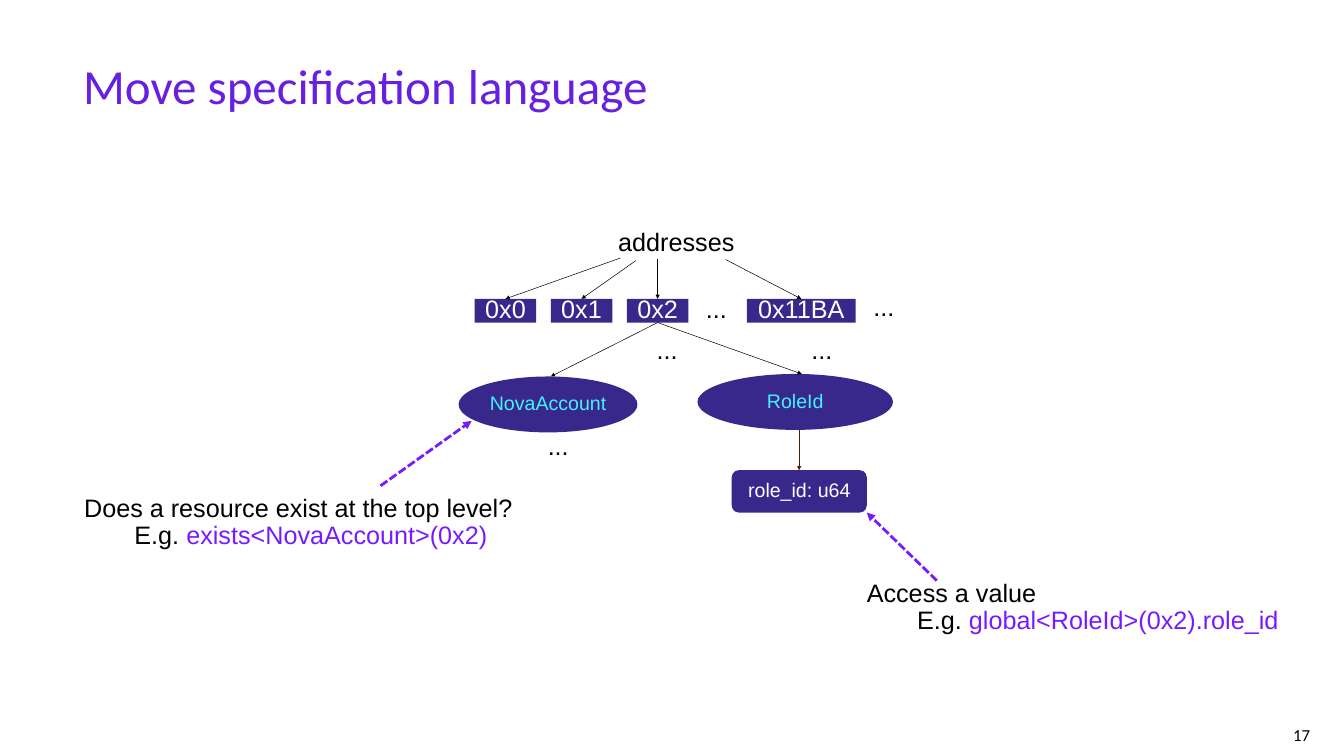
"""Build the slide on the Move specification language and its address tree."""
from lxml.etree import SubElement
from pptx import Presentation
from pptx.dml.color import RGBColor
from pptx.enum.dml import MSO_LINE
from pptx.enum.shapes import MSO_CONNECTOR, MSO_SHAPE
from pptx.enum.text import MSO_ANCHOR, MSO_AUTO_SIZE, PP_ALIGN
from pptx.oxml.ns import qn
from pptx.util import Pt

PX = 9144
INDIGO, VIOLET, PURPLE = "38288C", "771BFF", "671FE0"
CYAN, BLACK, WHITE = "45F1FF", "000000", "FFFFFF"


def emu(*lengths):
    return [length * PX for length in lengths]


def color(value):
    return RGBColor.from_string(value)


class TreeSlide:
    def __init__(self, slide, font="Arial"):
        self.slide = slide
        self.shapes = slide.shapes
        self.font = font

    def style(self, paragraph, size, ink, align=PP_ALIGN.LEFT, spacing=0.9, font=None):
        paragraph.alignment = align
        paragraph.line_spacing = spacing
        for run in paragraph.runs:
            run.font.size = Pt(size)
            run.font.name = font or self.font
            run.font.color.rgb = color(ink)

    def inset(self, frame, across, down):
        frame.margin_left = frame.margin_right = across * PX
        frame.margin_top = frame.margin_bottom = down * PX

    def title(self, text, box):
        heading = self.shapes.title
        heading.left, heading.top, heading.width, heading.height = emu(*box)
        frame = heading.text_frame
        frame.text = text
        frame.auto_size = MSO_AUTO_SIZE.NONE
        frame.vertical_anchor = MSO_ANCHOR.TOP
        self.inset(frame, 0, 0)
        self.style(frame.paragraphs[0], 70, PURPLE, spacing=0.8, font="Calibri")

    def label(self, text, box, margins=(10, 5), size=36, **look):
        frame = self.shapes.add_textbox(*emu(*box)).text_frame
        frame.word_wrap = True
        self.inset(frame, *margins)
        frame.text = text
        self.style(frame.paragraphs[0], size, BLACK, **look)
        return frame

    def callout(self, question, example, box, margins):
        frame = self.label(question, box, margins)
        detail = frame.add_paragraph()
        detail.level = 1
        for part in ("E.g. ", example):
            detail.add_run().text = part
        self.style(detail, 36, BLACK)
        detail.runs[1].font.color.rgb = color(VIOLET)
        properties = detail._p.get_or_add_pPr()
        properties.set("marL", str(100 * PX))
        properties.set("indent", "0")

    def ellipsis(self, left, top):
        self.label("...", (left, top, 87, 75), margins=(20, 10))

    def node(self, kind, text, box, size=28, ink=WHITE):
        node = self.shapes.add_shape(kind, *emu(*box))
        node.shadow.inherit = False
        node.fill.solid()
        node.fill.fore_color.rgb = color(INDIGO)
        node.line.fill.background()
        frame = node.text_frame
        frame.word_wrap = False
        frame.vertical_anchor = MSO_ANCHOR.MIDDLE
        frame.text = text
        self.style(frame.paragraphs[0], size, ink, align=PP_ALIGN.CENTER)
        return node

    def arrow(self, start, end, ink=BLACK, width=0.75, dash=None, source=None, target=None):
        arrow = self.shapes.add_connector(MSO_CONNECTOR.STRAIGHT, *emu(*start, *end))
        arrow.line.color.rgb = color(ink)
        arrow.line.width = Pt(width)
        if dash:
            arrow.line.dash_style = dash
        SubElement(arrow.line._get_or_add_ln(), qn("a:tailEnd"), type="triangle")
        SubElement(arrow._element.spPr, qn("a:effectLst"))
        if source:
            arrow.begin_connect(source, 2)
        if target:
            arrow.end_connect(target, 0)


def main():
    deck = Presentation()
    deck.slide_width, deck.slide_height = emu(2667, 1500)
    tree = TreeSlide(deck.slides.add_slide(deck.slide_layouts[5]))

    tree.title("Move specification language", (165, 133, 2338, 201))
    tree.label("17", (2500, 1431, 106, 45), (6, 6), 24,
               align=PP_ALIGN.RIGHT, spacing=1.0, font="Calibri")

    tree.label("addresses", (1215, 451, 254, 65), align=PP_ALIGN.CENTER)
    addresses = {}
    for address, left, width, start in (
        ("0x0", 942, 122, (1231, 512)),
        ("0x1", 942 + 151, 122, (1262, 517)),
        ("0x2", 942 + 2 * 151, 122, (1305, 514)),
        ("0x11BA", 1482, 216, (1440, 515)),
    ):
        chip = tree.node(MSO_SHAPE.RECTANGLE, address, (left, 593, width, 47), 36)
        tree.arrow(start, (left + width // 2, 593), target=chip)
        addresses[address] = chip

    tree.node(MSO_SHAPE.OVAL, "NovaAccount", (910, 747, 355, 111), ink=CYAN)
    tree.node(MSO_SHAPE.OVAL, "RoleId", (1384, 742, 388, 111), ink=CYAN)
    for resource_top in ((1093, 747), (1591, 742)):
        tree.arrow((1305, 640), resource_top, source=addresses["0x2"])

    role_field = tree.node(MSO_SHAPE.ROUNDED_RECTANGLE, "role_id: u64", (1452, 933, 268, 84))
    tree.arrow((1586, 853), (1586, 933), ink="4A1D00", target=role_field)

    for left, top in ((1381, 578), (1713, 575), (1283, 660), (1590, 661), (1067, 850)):
        tree.ellipsis(left, top)

    tree.callout("Does a resource exist at the top level?", "exists<NovaAccount>(0x2)",
                 (157, 978, 936, 174), (10, 5))
    tree.callout("Access a value", "global<RoleId>(0x2).role_id",
                 (1720, 1152, 858, 177), (0, 0))
    for start, end in (((755, 964), (936, 835)), ((1859, 1152), (1720, 1017))):
        tree.arrow(start, end, VIOLET, 4, MSO_LINE.SQUARE_DOT)

    deck.save("out.pptx")


if __name__ == "__main__":
    main()
